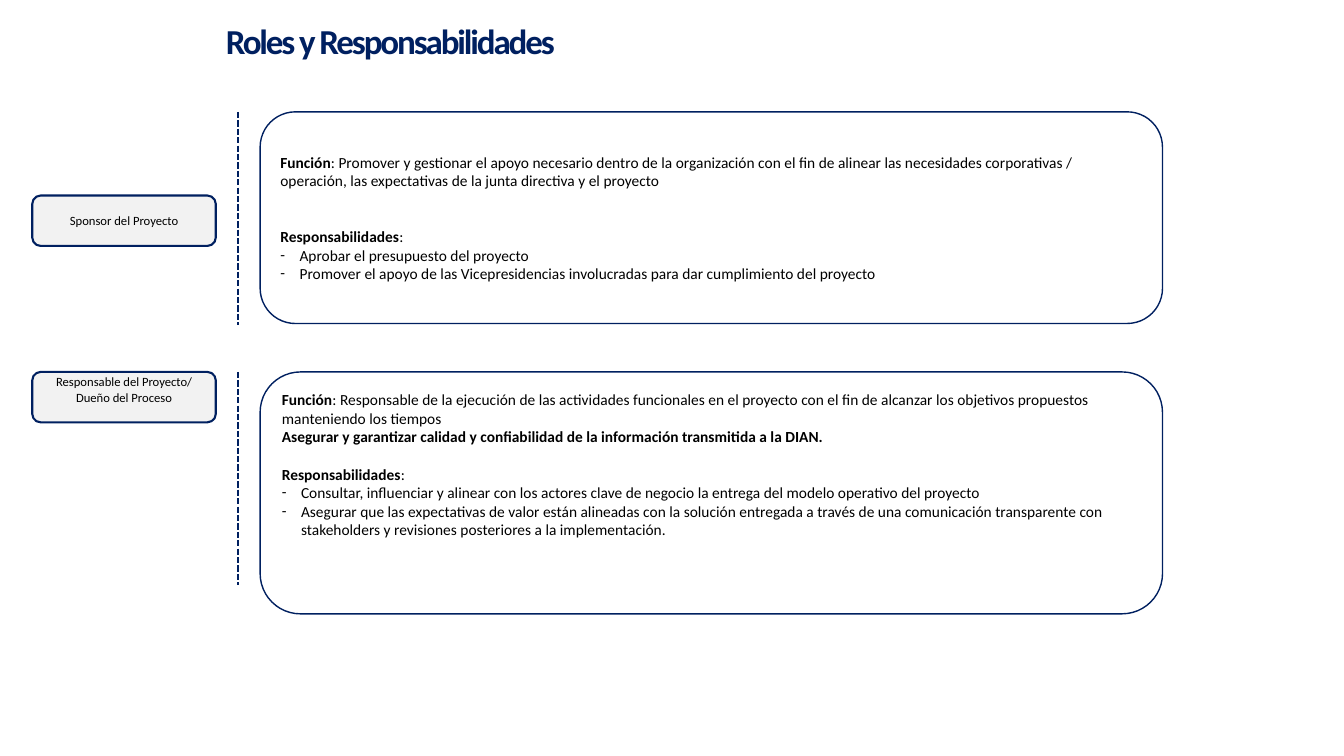
from lxml.etree import SubElement
from pptx import Presentation
from pptx.dml.color import RGBColor
from pptx.enum.dml import MSO_LINE
from pptx.enum.shapes import MSO_CONNECTOR, MSO_SHAPE
from pptx.enum.text import MSO_ANCHOR, MSO_AUTO_SIZE, PP_ALIGN
from pptx.oxml.ns import qn
from pptx.util import Inches, Pt

NAVY, GREY, BLACK = "002060", "F2F2F2", "000000"
LINE_PT = 13.4

ROLES = [
    dict(
        name="Sponsor del Proyecto", top=1.11, height=2.1, label_top=1.94,
        label_bottom=0.05, card_bottom=0.05, gap_lines=2,
        function="Promover y gestionar el apoyo necesario dentro de la organización con el fin de "
                 "alinear las necesidades corporativas / operación, las expectativas de la junta "
                 "directiva y el proyecto",
        emphasis=None,
        duties=["Aprobar el presupuesto del proyecto",
                "Promover el apoyo de las Vicepresidencias involucradas para dar cumplimiento "
                "del proyecto"]),
    dict(
        name="Responsable del Proyecto/ Dueño del Proceso", top=3.69, height=2.4, label_top=3.69,
        label_bottom=0.2, card_bottom=0.61, gap_lines=1,
        function="Responsable de la ejecución de las actividades funcionales en el proyecto con el "
                 "fin de alcanzar los objetivos propuestos manteniendo los tiempos",
        emphasis="Asegurar y garantizar calidad y confiabilidad de la información transmitida a la "
                 "DIAN.",
        duties=["Consultar, influenciar y alinear con los actores clave de negocio la entrega del "
                "modelo operativo del proyecto",
                "Asegurar que las expectativas de valor están alineadas con la solución entregada "
                "a través de una comunicación transparente con stakeholders y revisiones "
                "posteriores a la implementación."]),
]


def rgb(value):
    """Turn a hex string into a colour."""
    return RGBColor.from_string(value)


def add_run(p, text, size=11, color=BLACK, bold=False, spacing=None):
    """Append a formatted run to a paragraph."""
    r = p.add_run()
    r.text = text
    r.font.name, r.font.size, r.font.bold = "Calibri", Pt(size), bold
    r.font.color.rgb = rgb(color)
    if spacing is not None:
        r.font._element.set("spc", str(int(spacing * 100)))


def next_paragraph(tf, align=PP_ALIGN.LEFT, before=0):
    """Return the empty first paragraph, or a new one, aligned and spaced."""
    p = tf.paragraphs[0]
    if p.runs:
        p = tf.add_paragraph()
    p.alignment, p.space_before = align, Pt(before)
    return p


def add_dash(p):
    """Give a paragraph a hanging dash bullet."""
    pPr = p._p.get_or_add_pPr()
    indent = Inches(0.19)
    pPr.set("marL", str(indent))
    pPr.set("indent", str(-indent))
    SubElement(pPr, qn("a:buFont"), typeface="Calibri")
    SubElement(pPr, qn("a:buChar"), char="-")


def add_box(slide, left, top, width, height, fill=None, weight=1, bottom=0.05):
    """Add a rounded box with a navy outline and return its text frame."""
    sp = slide.shapes.add_shape(MSO_SHAPE.ROUNDED_RECTANGLE, Inches(left), Inches(top),
                                Inches(width), Inches(height))
    sp.shadow.inherit = False
    if fill:
        sp.fill.solid()
        sp.fill.fore_color.rgb = rgb(fill)
    else:
        sp.fill.background()
    sp.line.color.rgb = rgb(NAVY)
    sp.line.width = Pt(weight)
    tf = sp.text_frame
    tf.word_wrap, tf.vertical_anchor = True, MSO_ANCHOR.MIDDLE
    tf.margin_bottom = Inches(bottom)
    return tf


def add_divider(slide, top):
    """Add the dashed vertical line between label and card."""
    line = slide.shapes.add_connector(MSO_CONNECTOR.STRAIGHT, Inches(2.36), Inches(top),
                                      Inches(2.36), Inches(top + 2.11))
    line.line.color.rgb = rgb(NAVY)
    line.line.width = Pt(1.5)
    line.line.dash_style = MSO_LINE.SQUARE_DOT
    SubElement(line._element.spPr, qn("a:effectLst"))


def add_card(slide, role):
    """Add the card with a role's function and responsibilities."""
    tf = add_box(slide, 2.58, role["top"], 8.95, role["height"], bottom=role["card_bottom"])
    p = next_paragraph(tf)
    add_run(p, "Función", bold=True)
    add_run(p, ": " + role["function"])
    if role["emphasis"]:
        add_run(next_paragraph(tf), role["emphasis"], bold=True)
    p = next_paragraph(tf, before=role["gap_lines"] * LINE_PT)
    add_run(p, "Responsabilidades", bold=True)
    add_run(p, ":")
    for duty in role["duties"]:
        p = next_paragraph(tf)
        add_dash(p)
        add_run(p, duty)


def add_label(slide, role):
    """Add the grey box that names a role."""
    tf = add_box(slide, 0.32, role["label_top"], 1.82, 0.5, fill=GREY, weight=1.5,
                 bottom=role["label_bottom"])
    add_run(next_paragraph(tf, PP_ALIGN.CENTER), role["name"], size=9)


def set_title(slide, text):
    """Place and format the slide title."""
    sp = slide.shapes.title
    sp.left, sp.top, sp.width, sp.height = (Inches(v) for v in (2.14, 0.14, 7.73, 0.52))
    tf = sp.text_frame
    tf.word_wrap, tf.auto_size = True, MSO_AUTO_SIZE.NONE
    tf.vertical_anchor = MSO_ANCHOR.TOP
    add_run(next_paragraph(tf), text, size=25, color=NAVY, bold=True, spacing=-1.5)


def main():
    """Build the slide and save it."""
    prs = Presentation()
    prs.slide_width, prs.slide_height = Inches(13.33), Inches(7.5)
    slide = prs.slides.add_slide(prs.slide_layouts[5])
    set_title(slide, "Roles y Responsabilidades")
    for role in ROLES:
        add_divider(slide, role["top"])
        add_card(slide, role)
        add_label(slide, role)
    prs.save("out.pptx")


if __name__ == "__main__":
    main()
